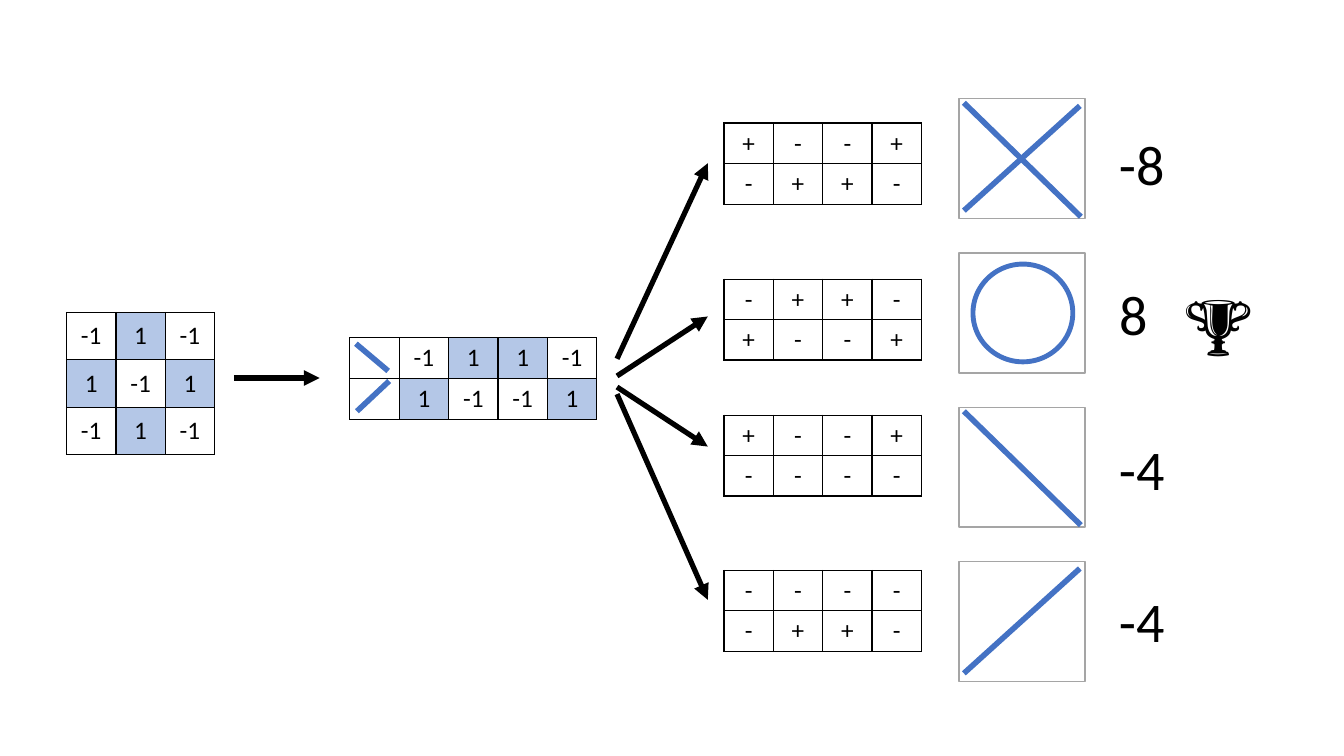
from pptx import Presentation
from pptx.dml.color import RGBColor
from pptx.enum.shapes import MSO_CONNECTOR as Connector, MSO_SHAPE as Shape
from pptx.enum.text import MSO_ANCHOR as Anchor, MSO_AUTO_SIZE as AutoSize, PP_ALIGN as Align
from pptx.oxml import parse_xml
from pptx.oxml.ns import nsdecls
from pptx.util import Inches, Pt


def color(value):
    return RGBColor.from_string(value)


class Diagram:
    FONT = "Calibri"
    BLACK, WHITE, GRAY = "000000", "FFFFFF", "A5A5A5"
    BLUE, PALE_BLUE = "4472C4", "B4C7E7"
    COLUMN = 0.49

    def __init__(self, page):
        self.page = page

    def style(self, para, size):
        para.font.name = self.FONT
        para.font.size = Pt(size)
        para.font.color.rgb = color(self.BLACK)

    def line(self, start, end, stroke, width, arrow=False):
        points = [Inches(value) for value in (*start, *end)]
        line = self.page.shapes.add_connector(Connector.STRAIGHT, *points)
        line.line.color.rgb = color(stroke)
        line.line.width = Pt(width)
        properties = line._element.spPr
        properties.append(parse_xml(f"<a:effectLst {nsdecls('a')}/>"))
        if arrow:
            head = parse_xml(f'<a:tailEnd {nsdecls("a")} type="triangle"/>')
            line.line._get_or_add_ln().append(head)

    def arrow(self, start, end):
        self.line(start, end, self.BLACK, 3.75, arrow=True)

    def stroke(self, start, end):
        self.line(start, end, self.BLUE, 4)

    def shape(self, kind, left, top, width, height, outline, weight):
        box = self.page.shapes.add_shape(
            kind, Inches(left), Inches(top), Inches(width), Inches(height))
        box.shadow.inherit = False
        box.fill.solid()
        box.fill.fore_color.rgb = color(self.WHITE)
        box.line.color.rgb = color(outline)
        box.line.width = Pt(weight)

    def symbol(self, top, marks):
        """Frame holding a circle (o) and diagonals (\\ and /)."""
        left = 9.51
        self.shape(Shape.RECTANGLE, left, top, 1.25, 1.19, self.GRAY, 1)
        if "o" in marks:
            self.shape(Shape.FLOWCHART_CONNECTOR, left + 0.14, top + 0.11,
                       0.99, 0.97, self.BLUE, 3.5)
        if "\\" in marks:
            self.stroke((left + 0.05, top + 0.04), (left + 1.21, top + 1.17))
        if "/" in marks:
            self.stroke((left + 1.2, top + 0.07), (left + 0.05, top + 1.11))

    def text(self, left, top, width, height, words, size):
        box = self.page.shapes.add_textbox(
            Inches(left), Inches(top), Inches(width), Inches(height))
        frame = box.text_frame
        frame.word_wrap = False
        frame.auto_size = AutoSize.SHAPE_TO_FIT_TEXT
        frame.text = words
        self.style(frame.paragraphs[0], size)

    def border(self, cell):
        properties = cell._tc.get_or_add_tcPr()
        for side in ("lnL", "lnR", "lnT", "lnB"):
            properties.append(parse_xml(
                f'<a:{side} {nsdecls("a")} w="12700"><a:solidFill>'
                f'<a:srgbClr val="{self.BLACK}"/></a:solidFill></a:{side}>'))

    def table(self, left, top, row_height, rows):
        """Table of values; cells with 1 are shaded, _ stays empty."""
        values = [row.split() for row in rows]
        count = len(values[0])
        table = self.page.shapes.add_table(
            len(values), count, Inches(left), Inches(top),
            Inches(self.COLUMN * count), Inches(row_height * len(values))).table
        table.first_row = table.horz_banding = False
        for column in table.columns:
            column.width = Inches(self.COLUMN)
        for row, words in zip(table.rows, values):
            row.height = Inches(row_height)
            for cell, word in zip(row.cells, words):
                self.border(cell)
                if word == "1":
                    cell.fill.solid()
                    cell.fill.fore_color.rgb = color(self.PALE_BLUE)
                else:
                    cell.fill.background()
                cell.vertical_anchor = Anchor.MIDDLE
                cell.text = "" if word == "_" else word
                para = cell.text_frame.paragraphs[0]
                para.alignment = Align.CENTER
                self.style(para, 18)


def main():
    deck = Presentation()
    deck.slide_width, deck.slide_height = Inches(13.33), Inches(7.5)
    diagram = Diagram(deck.slides.add_slide(deck.slide_layouts[6]))

    # Input grid and its two diagonals
    diagram.table(0.66, 3.1, 0.47, ["-1 1 -1", "1 -1 1", "-1 1 -1"])
    diagram.arrow((2.32, 3.75), (3.17, 3.75))
    diagram.table(3.47, 3.35, 0.4, ["_ -1 1 1 -1", "_ 1 -1 -1 1"])
    diagram.stroke((3.53, 3.41), (3.85, 3.68))
    diagram.stroke((3.54, 4.08), (3.86, 3.78))

    # Candidates: arrow ends, table top, signs, symbol, score and its place
    candidates = [
        (3.56, 1.62, 1.22, ["+ - - +", "- + + -"], "\\/", "-8", 1.24, 0.66),
        (3.73, 3.14, 2.77, ["- + + -", "+ - - +"], "o", "8", 2.72, 0.49),
        (3.84, 4.43, 4.12, ["+ - - +", "- - - -"], "\\", "-4", 4.26, 0.66),
        (3.91, 5.95, 5.66, ["- - - -", "- + + -"], "/", "-4", 5.77, 0.66),
    ]
    for index, candidate in enumerate(candidates):
        start, end, top, signs, marks, score, score_top, score_width = candidate
        diagram.arrow((6.12, start), (7.02, end))
        diagram.table(7.18, top, 0.4, signs)
        diagram.symbol(0.98 + 1.53 * index, marks)
        diagram.text(11, score_top, score_width, 0.77, score, 40)

    # Winner
    diagram.text(11.64, 2.72, 0.96, 1.01, "🏆", 54)

    deck.save("out.pptx")


if __name__ == "__main__":
    main()
